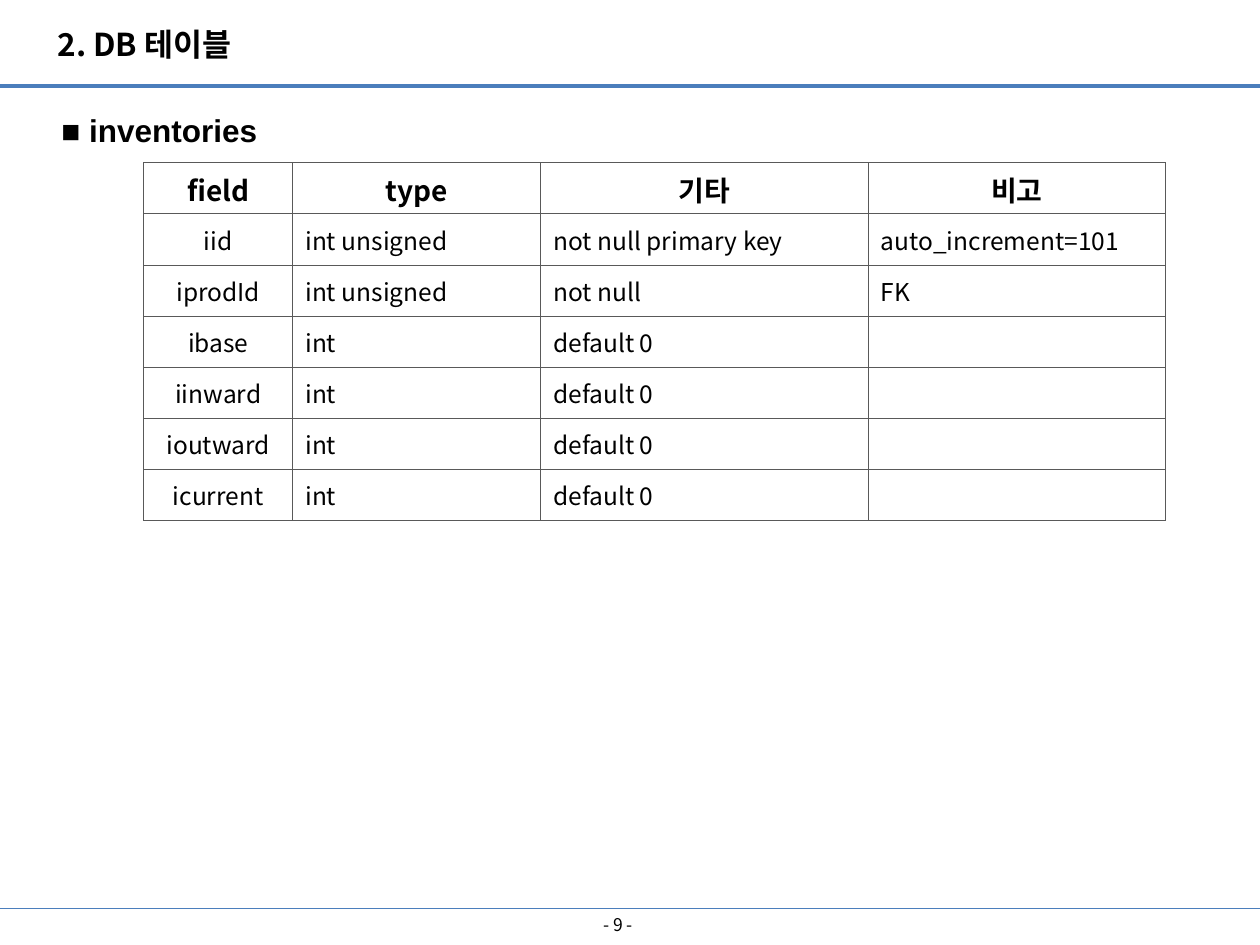
from lxml.etree import SubElement
from pptx import Presentation
from pptx.dml.color import RGBColor
from pptx.enum.shapes import MSO_CONNECTOR as Link
from pptx.enum.text import MSO_ANCHOR as Anchor, MSO_AUTO_SIZE as Fit, PP_ALIGN as Align
from pptx.oxml.ns import qn
from pptx.util import Cm, Pt

BLACK = RGBColor(0x00, 0x00, 0x00)
BLUE = RGBColor(0x4B, 0x7E, 0xBC)
GRAY = RGBColor(0x59, 0x59, 0x59)
NOTO = "Noto Sans CJK KR"


def style(para, size, bold=False, face=NOTO):
    """Format each run, with one face for Latin and Korean letters."""
    for run in para.runs:
        font = run.font
        font.size, font.bold, font.name = Pt(size), bold, face
        font.color.rgb = BLACK
        SubElement(font._element, qn("a:ea"), typeface=face)


def border(cell, color, width):
    props = cell._tc.get_or_add_tcPr()
    for side in ("lnL", "lnR", "lnT", "lnB"):
        line = SubElement(props, qn(f"a:{side}"), w=str(Pt(width)))
        fill = SubElement(line, qn("a:solidFill"))
        SubElement(fill, qn("a:srgbClr"), val=str(color))


deck = Presentation()
deck.slide_width, deck.slide_height = Cm(25.4), Cm(19.05)
slide = deck.slides.add_slide(deck.slide_layouts[6])
shapes = slide.shapes

# Rules under the title and above the page number
for top, width in ((1.73, 2.25), (18.31, 0.75)):
    rule = shapes.add_connector(Link.STRAIGHT, 0, Cm(top), deck.slide_width, Cm(top))
    rule.line.color.rgb = BLUE
    rule.line.width = Pt(width)
    SubElement(rule._element.spPr, qn("a:effectLst"))

# Title, page number and heading
texts = (
    ("2. DB 테이블", (0.91, 0.38, 4.32, 1.02), 18, True, NOTO),
    ("- 9 -", (9.5, 18.31, 5.92, 0.66), 10, False, NOTO),
    ("■ inventories", (0.99, 1.73, 4.75, 1.3), 18, True, "Arial"),
)
for text, place, size, bold, face in texts:
    frame = shapes.add_textbox(*map(Cm, place)).text_frame
    frame.text = text
    para = frame.paragraphs[0]
    style(para, size, bold, face)
    if bold:
        frame.word_wrap = False
        frame.auto_size = Fit.SHAPE_TO_FIT_TEXT
    else:
        frame.word_wrap = True
        frame.vertical_anchor = Anchor.MIDDLE
        para.alignment = Align.CENTER
    if face == "Arial":
        para.line_spacing = 1.5

# Table of fields
rows = (
    ("field", "type", "기타", "비고"),
    ("iid", "int unsigned", "not null primary key", "auto_increment=101"),
    ("iprodId", "int unsigned", "not null", "FK"),
    *((name, "int", "default 0", "")
      for name in ("ibase", "iinward", "ioutward", "icurrent")),
)
widths = (3, 5, 6.6, 6)
high = 1.03
grid = shapes.add_table(len(rows), len(widths), Cm(2.9), Cm(3.28),
                        Cm(sum(widths)), Cm(high * len(rows))).table
grid.first_row = grid.horz_banding = False
for col, width in zip(grid.columns, widths):
    col.width = Cm(width)
for r, row in enumerate(rows):
    grid.rows[r].height = Cm(high)
    head = r == 0
    for c, text in enumerate(row):
        cell = grid.cell(r, c)
        border(cell, GRAY, 0.5)
        cell.fill.background()
        cell.vertical_anchor = Anchor.TOP if head else Anchor.MIDDLE
        cell.text_frame.text = text
        para = cell.text_frame.paragraphs[0]
        para.alignment = Align.CENTER if head or c == 0 else Align.LEFT
        style(para, 16 if head else 14, head)
        if not text:  # keeps an empty cell from stretching its row
            SubElement(para._p, qn("a:endParaRPr"), sz="1400")

deck.save("out.pptx")
